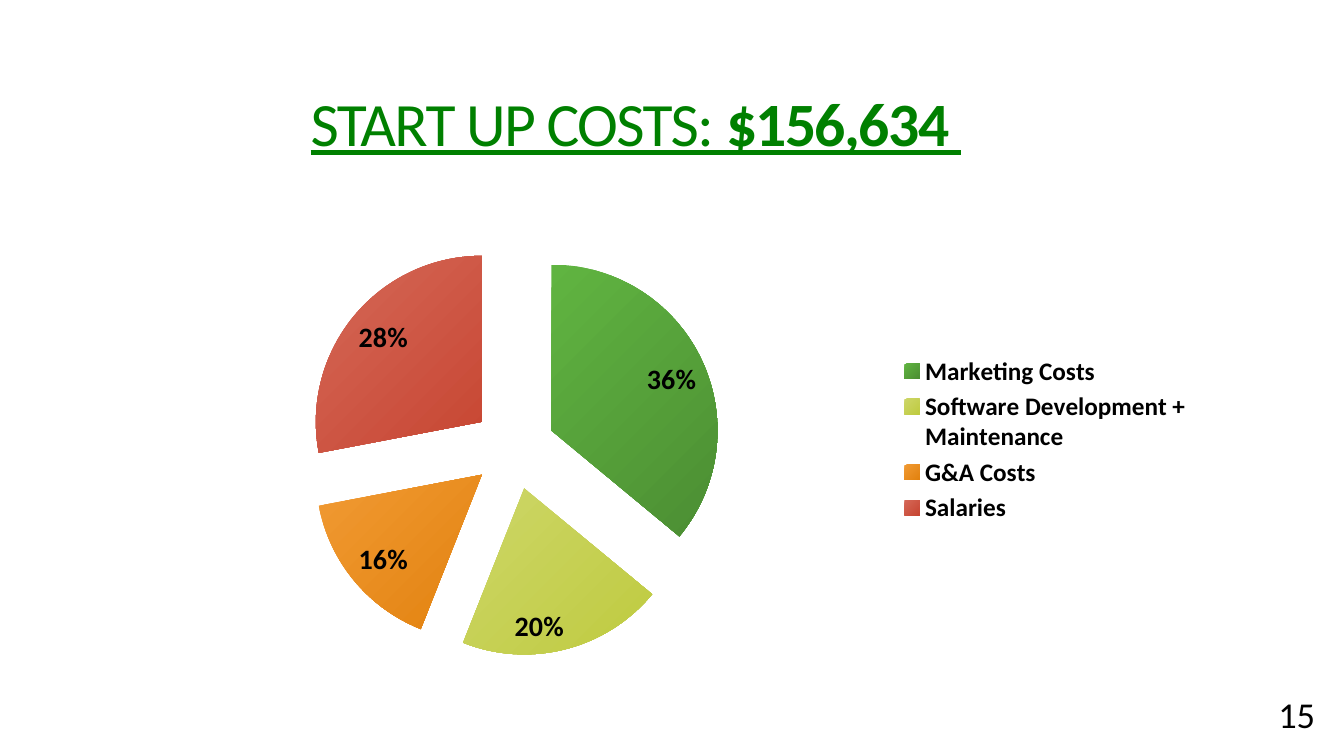
import pptx
import pptx.util
import pptx.chart.data
import pptx.dml.color
import pptx.enum.chart
import pptx.enum.text
import pptx.oxml

Inches = pptx.util.Inches
Pt = pptx.util.Pt
enum = pptx.enum.chart
RGB = pptx.dml.color.RGBColor.from_string

hues = {"title": "008000", "text": "000000"}
parts = [
    ("Marketing Costs", 36, "549E39"),
    ("Software Development + Maintenance", 20, "C7D157"),
    ("G&A Costs", 16, "F08F1C"),
    ("Salaries", 28, "D05745"),
]


def style(font, hue, **values):
    font.name = "Calibri"
    font.color.rgb = RGB(hues[hue])
    for key, value in values.items():
        setattr(font, key, value)


def frame(x, y, w, h, inner=False):
    target = '<c:layoutTarget val="inner"/>' if inner else ""
    return pptx.oxml.parse_xml(
        '<c:layout xmlns:c="http://schemas.openxmlformats.org/drawingml/2006/chart">'
        f'<c:manualLayout>{target}<c:xMode val="edge"/><c:yMode val="edge"/>'
        f'<c:x val="{x}"/><c:y val="{y}"/><c:w val="{w}"/><c:h val="{h}"/>'
        '</c:manualLayout></c:layout>')


deck = pptx.Presentation()
deck.slide_width, deck.slide_height = Inches(13.33), Inches(7.5)
slide = deck.slides.add_slide(deck.slide_layouts[5])

# Title
title = slide.shapes.title
spot = {"left": 2.98, "top": 0.63, "width": 7.96, "height": 1.27}
for key, value in spot.items():
    setattr(title, key, Inches(value))
box = title.text_frame
box.auto_size = pptx.enum.text.MSO_AUTO_SIZE.NONE
box.vertical_anchor = pptx.enum.text.MSO_ANCHOR.MIDDLE
line = box.paragraphs[0]
line.alignment = pptx.enum.text.PP_ALIGN.LEFT
line.line_spacing = 0.85
for text, bold in [("START UP COSTS: ", False), ("$156,634 ", True)]:
    run = line.add_run()
    run.text = text
    style(run.font, "title", size=Pt(44), bold=bold, underline=True)
    run.font._element.set("spc", "-120")

# Pie chart
data = pptx.chart.data.CategoryChartData()
data.categories = [name for name, share, hue in parts]
data.add_series("Series 1", [share for name, share, hue in parts])
chart = slide.shapes.add_chart(
    enum.XL_CHART_TYPE.PIE, Inches(1.32), Inches(2.17),
    Inches(10.64), Inches(4.38), data).chart
chart.has_title = False
plot = chart.plots[0]
plot.vary_by_categories = True
series = plot.series[0]

# Shaded slices, pulled apart
for index, (name, share, hue) in enumerate(parts):
    fill = series.points[index].format.fill
    fill.gradient()
    fill.gradient_angle = 315
    for stop, light in zip(fill.gradient_stops, (0.1, -0.1)):
        stop.color.rgb = RGB(hue)
        stop.color.brightness = light
burst = pptx.oxml.parse_xml(
    '<c:explosion xmlns:c="http://schemas.openxmlformats.org/drawingml/2006/chart"'
    ' val="25"/>')
series._element.find(burst.tag.replace("explosion", "dPt")).addprevious(burst)

# Percent labels
plot.has_data_labels = True
labels = plot.data_labels
looks = {"show_percentage": True, "show_value": False, "number_format": "0%",
         "number_format_is_linked": False,
         "position": enum.XL_LABEL_POSITION.INSIDE_END}
for key, value in looks.items():
    setattr(labels, key, value)
style(labels.font, "text", size=Pt(20), bold=True)

# Legend
chart.has_legend = True
legend = chart.legend
legend.position = enum.XL_LEGEND_POSITION.RIGHT
legend.include_in_layout = False
style(legend.font, "text", size=Pt(18), bold=True)

# Places of pie and legend within the chart
for node, place in [(plot._element.getparent(), frame(0.16, 0.05, 0.39, 0.94, True)),
                    (legend._element, frame(0.71, 0.3, 0.28, 0.4))]:
    for old in node.findall(place.tag):
        node.remove(old)
    node.insert(0 if node is not legend._element else 1, place)

# Slide number
page = slide.shapes.add_textbox(Inches(12.58), Inches(6.82), Inches(0.64), Inches(0.55))
page.text_frame.word_wrap = True
run = page.text_frame.paragraphs[0].add_run()
run.text = "15"
style(run.font, "text", size=Pt(26))

deck.save("out.pptx")
